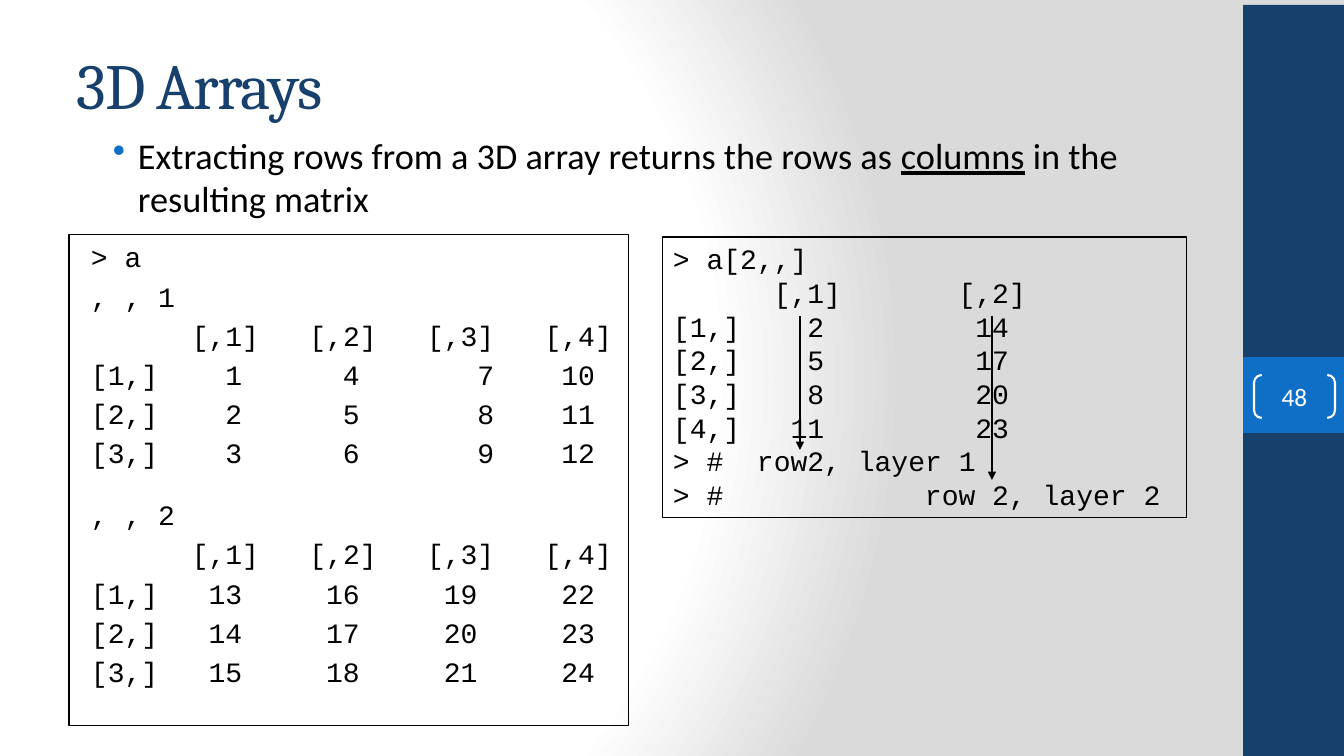
from pptx import Presentation
from pptx import util as u
from pptx.dml import color
from pptx.enum import shapes, text
from pptx.oxml import ns, parse_xml

PX = 914400 / 100.8
CHAR = u.Pt(12)
NAVY, BLUE, WHITE, BLACK, GREY = "17406D", "0F6FC6", "FFFFFF", "000000", "DADADA"
CODE = {"name": "Courier New", "size": u.Pt(20)}
CODE_LINE = {"line_spacing": u.Pt(24)}
BODY = {"name": "Calibri", "size": u.Pt(25.9)}


def px(*lengths):
    """Turn pixel lengths into EMU."""
    return [u.Emu(round(length * PX)) for length in lengths]


def rgb(value):
    """Turn a hex string into a colour."""
    return color.RGBColor.from_string(value)


def assign(target, values):
    """Set attributes from a dict of format values."""
    for name, value in values.items():
        setattr(target, name, value)


def add_xml(parent, markup):
    """Append a drawing element to a parent and return it."""
    head, mark, rest = markup.partition("/>")
    child = parse_xml(f"{head} {ns.nsdecls('a')}{mark}{rest}")
    parent.append(child)
    return child


def add_span(para, words, font, hue=BLACK):
    """Add a run with the given font values and colour."""
    span = para.add_run()
    span.text = words
    assign(span.font, font)
    span.font.color.rgb = rgb(hue)
    return span


def add_box(page, box, kind=shapes.MSO_SHAPE.RECTANGLE, fill=None, line=None, weight=0.75):
    """Add a plain shape with optional fill and line."""
    shape = page.shapes.add_shape(kind, *px(*box))
    shape.shadow.inherit = False
    if fill:
        shape.fill.solid()
        shape.fill.fore_color.rgb = rgb(fill)
    else:
        shape.fill.background()
    if line:
        shape.line.color.rgb = rgb(line)
        shape.line.width = u.Pt(weight)
    else:
        shape.line.fill.background()
    return shape


def add_text(page, box, anchor=text.MSO_ANCHOR.TOP):
    """Add a wrapping text box and return its frame."""
    frame = page.shapes.add_textbox(*px(*box)).text_frame
    assign(frame, {"word_wrap": True, "vertical_anchor": anchor})
    return frame


def add_background(page):
    """Fill the page with a circular gradient."""
    stops = "".join(
        f'<a:gs pos="{share * 1000}"><a:srgbClr val="{hue}"/></a:gs>'
        for share, hue in ((0, WHITE), (75, WHITE), (100, GREY)))
    page.element.cSld.insert(0, parse_xml(
        f'<p:bg {ns.nsdecls("p", "a")}><p:bgPr><a:gradFill rotWithShape="1">'
        f'<a:gsLst>{stops}</a:gsLst><a:path path="circle">'
        '<a:fillToRect l="20000" t="50000" r="100000" b="50000"/></a:path>'
        '</a:gradFill><a:effectLst/></p:bgPr></p:bg>'))


def add_sidebar(page, box, number):
    """Draw the side band with its bracketed page number."""
    left, top, width, height = box
    add_box(page, box, fill=NAVY)
    add_box(page, (left, top + 352, width, 76), fill=BLUE)
    badge = add_box(page, (left + 11, top + 370, 81, 43),
                    shapes.MSO_SHAPE.DOUBLE_BRACKET, line=WHITE, weight=1.5)
    badge.adjustments[0] = 0.18
    frame = badge.text_frame
    assign(frame, {f"margin_{side}": 0 for side in ("left", "top", "right", "bottom")})
    frame.vertical_anchor = text.MSO_ANCHOR.MIDDLE
    para = frame.paragraphs[0]
    para.alignment = text.PP_ALIGN.CENTER
    add_span(para, number, {"name": "Calibri", "size": u.Pt(18)}, WHITE)


def add_title(page, box, words):
    """Write the page title."""
    para = add_text(page, box, text.MSO_ANCHOR.MIDDLE).paragraphs[0]
    span = add_span(para, words, {"name": "Cambria", "size": u.Pt(46)}, NAVY)
    span.font._element.set("spc", "-100")


def add_bullet(page, box, spans):
    """Write one bulleted statement; spans pair words with underlining."""
    para = add_text(page, box).paragraphs[0]
    for words, underline in spans:
        add_span(para, words, {**BODY, "underline": underline})
    props = para._p.get_or_add_pPr()
    indent, = px(25)
    props.set("marL", str(px(38)[0]))
    props.set("indent", str(-indent))
    tint = add_xml(props, "<a:buClr/>")
    add_xml(tint, f'<a:srgbClr val="{BLUE}"/>')
    add_xml(props, '<a:buChar char="•"/>')


def add_code(page, box, rows, inset, before=0):
    """Write code rows of (cells, stops, align, extra gap) in a framed box."""
    frame = add_box(page, box, line=BLACK).text_frame
    assign(frame, {"word_wrap": True, "vertical_anchor": text.MSO_ANCHOR.TOP,
                   "margin_left": px(inset)[0]})
    for index, (cells, stops, align, gap) in enumerate(rows):
        para = frame.add_paragraph() if index else frame.paragraphs[0]
        assign(para, {**CODE_LINE, "alignment": text.PP_ALIGN.LEFT,
                      "space_before": u.Pt(before + gap if index else 0)})
        add_span(para, "\t".join(cells), CODE)
        if stops:
            tabs = add_xml(para._p.get_or_add_pPr(), "<a:tabLst/>")
            for stop in stops:
                add_xml(tabs, f'<a:tab pos="{stop * CHAR}" algn="{align}"/>')


def add_array(page, box):
    """List both layers of the array."""
    rows = [(["> a"], (), "l", 0)]
    for layer, ends in enumerate(((9, 16, 24, 30), (9, 16, 23, 30))):
        rows.append(([f", , {layer + 1}"], (), "l", 16 * layer))
        rows.append((["", "[,1]", "[,2]", "[,3]", "[,4]"], (6, 13, 20, 27), "l", 0))
        for row in (1, 2, 3):
            values = [str(12 * layer + 3 * column + row) for column in range(4)]
            rows.append(([f"[{row},]", *values], ends, "r", 0))
    add_code(page, box, rows, inset=22, before=4)


def add_extract(page, box):
    """Show the extracted matrix with an arrow down each column."""
    left, top = box[:2]
    rows = [(["> a[2,,]"], (), "l", 0), (["", "[,1]", "[,2]"], (6, 17), "l", 0)]
    for row in range(4):
        cells = [f"[{row + 1},]", str(3 * row + 2), str(3 * row + 14)]
        rows.append((cells, (9, 20), "r", 0))
    rows.append((["> #", "row2, layer 1"], (5,), "l", 0))
    rows.append((["> #", "row 2, layer 2"], (15,), "l", 0))
    add_code(page, box, rows, inset=10)
    for across, length in ((137, 134), (329, 164)):
        add_arrow(page, (left + across, top + 79, 0, length))


def add_arrow(page, box):
    """Draw a thin arrow from the top of its box to the bottom."""
    left, top, width, height = box
    arrow = page.shapes.add_connector(
        shapes.MSO_CONNECTOR.STRAIGHT, *px(left, top, left + width, top + height))
    arrow.line.color.rgb = rgb(BLACK)
    arrow.line.width = u.Pt(1)
    add_xml(arrow.line._get_or_add_ln(), '<a:tailEnd type="triangle"/>')
    add_xml(arrow._element.spPr, "<a:effectLst/>")


def main():
    """Build the deck and save it."""
    deck = Presentation()
    deck.slide_width, deck.slide_height = px(1344, 756)
    page = deck.slides.add_slide(deck.slide_layouts[6])
    add_background(page)
    add_sidebar(page, (1243, 5, 101, 751), "48")
    add_title(page, (67, 30, 1120, 108), "3D Arrays")
    add_array(page, (69, 235, 560, 491))
    add_extract(page, (663, 237, 524, 281))
    add_bullet(page, (90, 128, 1120, 89), (
        ("Extracting rows from a 3D array returns the rows as ", False),
        ("columns", True), (" in the resulting matrix", False)))
    deck.save("out.pptx")


if __name__ == "__main__":
    main()
